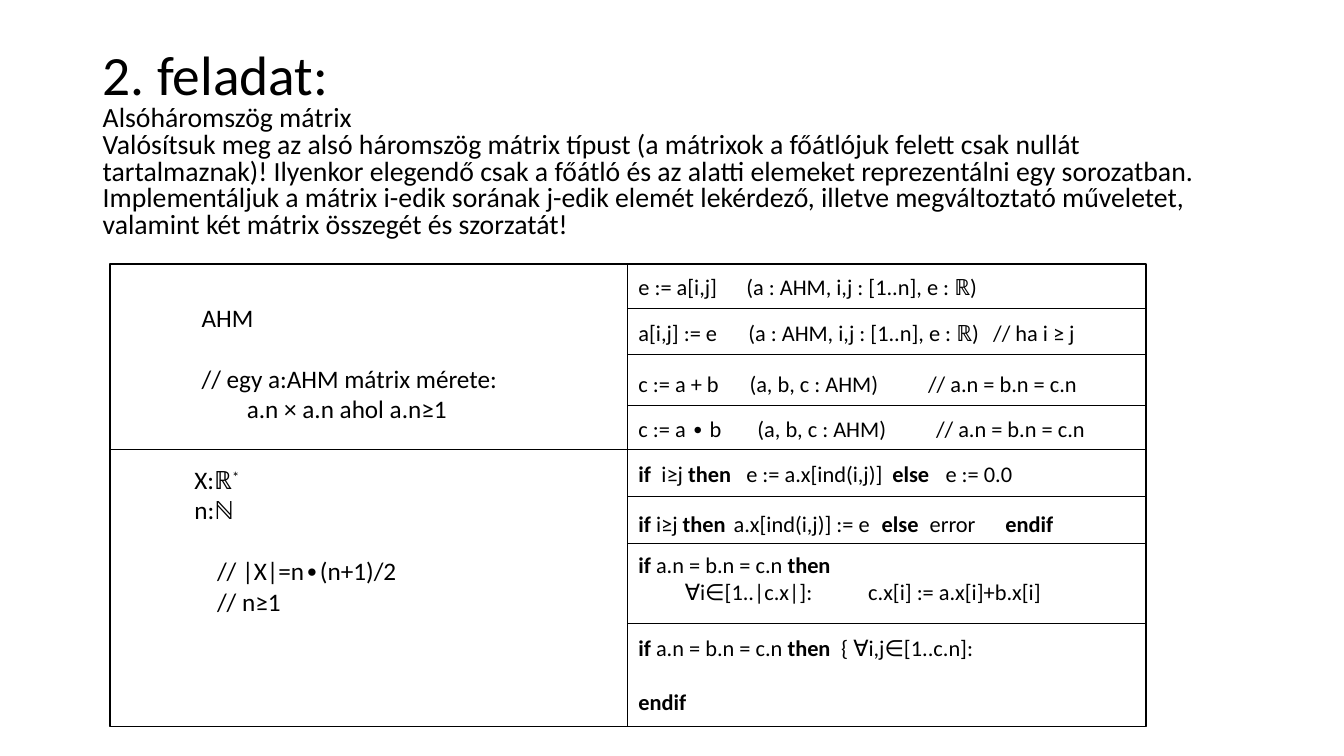
from dataclasses import dataclass

from pptx import Presentation
from pptx.dml.color import RGBColor
from pptx.enum.shapes import MSO_CONNECTOR, MSO_SHAPE
from pptx.enum.text import MSO_ANCHOR, MSO_AUTO_SIZE
from pptx.oxml.ns import qn
from pptx.util import Cm, Pt
from lxml.etree import SubElement


@dataclass(frozen=True)
class Theme:
    font: str = "Calibri"
    ink: RGBColor = RGBColor(0, 0, 0)
    paper: RGBColor = RGBColor(255, 255, 255)
    title: float = 39.6
    task: float = 19.8
    spec_text: float = 18
    code: float = 16
    frame: float = 1
    rule: float = 0.5


@dataclass
class Para:
    """One paragraph: runs are plain strings or (text, style) pairs; lengths in cm."""
    runs: list
    tabs: tuple = ()
    indent: float = 0
    gap: bool = False


def bold(text):
    return text, "bold"


class SlideBuilder:
    def __init__(self, slide, theme):
        self.s, self.theme = slide, theme

    def frame(self, x, y, w, h):
        sp = self.s.shapes.add_shape(MSO_SHAPE.RECTANGLE, Cm(x), Cm(y), Cm(w), Cm(h))
        sp.shadow.inherit = False
        sp.fill.solid()
        sp.fill.fore_color.rgb = self.theme.paper
        sp.line.color.rgb = self.theme.ink
        sp.line.width = Pt(self.theme.frame)

    def rule(self, x1, y1, x2, y2):
        ln = self.s.shapes.add_connector(
            MSO_CONNECTOR.STRAIGHT, Cm(x1), Cm(y1), Cm(x2), Cm(y2))
        ln.line.color.rgb = self.theme.ink
        ln.line.width = Pt(self.theme.rule)
        SubElement(ln._element.spPr, qn("a:effectLst"))

    def box(self, x, y, w, h):
        tf = self.s.shapes.add_textbox(Cm(x), Cm(y), Cm(w), Cm(h)).text_frame
        tf.word_wrap = True
        return tf

    def run(self, p, text, size, style=""):
        r = p.add_run()
        r.text = text
        r.font.name = self.theme.font
        r.font.size = Pt(size)
        r.font.color.rgb = self.theme.ink
        if style == "bold":
            r.font.bold = True
        elif style == "super":
            r.font._element.set("baseline", "30000")

    def text(self, x, y, w, h, paras, size):
        tf = self.box(x, y, w, h)
        tf.auto_size = MSO_AUTO_SIZE.SHAPE_TO_FIT_TEXT
        for i, para in enumerate(paras):
            p = tf.add_paragraph() if i else tf.paragraphs[0]
            if para.gap:
                p.space_before = Pt(size * 1.22)
            pPr = p._p.get_or_add_pPr()
            if para.indent:
                pPr.set("marL", str(Cm(para.indent)))
            if para.tabs:
                tab_list = SubElement(pPr, qn("a:tabLst"))
                for pos in para.tabs:
                    SubElement(tab_list, qn("a:tab"), pos=str(Cm(pos)), algn="l")
            for run in para.runs:
                text, style = (run, "") if isinstance(run, str) else run
                self.run(p, text, size, style)

    def title(self, x, y, w, h, heading, lines):
        tf = self.box(x, y, w, h)
        tf.vertical_anchor = MSO_ANCHOR.MIDDLE
        p = tf.paragraphs[0]
        p.line_spacing = 0.8
        self.run(p, heading, self.theme.title)
        for line in lines:
            p.add_line_break()
            self.run(p, line, self.theme.task)


LEFT, TOP, WIDTH, HEIGHT = 2.77, 6.65, 26.11, 11.66
RIGHT, BOTTOM = LEFT + WIDTH, TOP + HEIGHT
MIDDLE, SPLIT = 15.82, 11.33
ROW_RULES = [7.77, 8.94, 10.21, 12.5, 13.69, 15.7]

TASK = [
    "Alsóháromszög mátrix",
    "Valósítsuk meg az alsó háromszög mátrix típust (a mátrixok a főátlójuk felett "
    "csak nullát tartalmaznak)! Ilyenkor elegendő csak a főátló és az alatti elemeket "
    "reprezentálni egy sorozatban. Implementáljuk a mátrix i-edik sorának j-edik elemét "
    "lekérdező, illetve megváltoztató műveletet, valamint két mátrix összegét és szorzatát!",
]

TYPE_VALUES = [
    Para(["AHM"]),
    Para(["// egy a:AHM mátrix mérete:"], gap=True),
    Para(["a.n × a.n ahol a.n≥1"], indent=1.14),
]
REPRESENTATION = [
    Para(["X:ℝ", ("*", "super")]),
    Para(["n:ℕ"]),
    Para(["// |X|=n∙(n+1)/2"], indent=0.57, gap=True),
    Para(["// n≥1"], indent=0.57),
]

SAME_SIZE = [bold("if "), "a.n = b.n = c.n ", bold("then")]
# (top, height, paragraphs)
OPERATIONS = [
    (6.76, 0.94, [Para(["e := a[i,j]\t(a : AHM, i,j : [1..n], e : ℝ)"], (2.72,))]),
    (7.92, 0.94, [Para(["a[i,j] := e\t(a : AHM, i,j : [1..n], e : ℝ)\t// ha i ≥ j"],
                       (2.77, 8.94))]),
    (9.19, 0.94, [Para(["c := a + b\t(a, b, c : AHM)\t// a.n = b.n = c.n"], (2.8, 7.3))]),
    (10.34, 0.94, [Para(["c := a ∙ b\t(a, b, c : AHM)\t// a.n = b.n = c.n"], (3, 7.5))]),
    (11.48, 0.94, [Para([bold("if\t"), "i≥j ", bold("then"), "\te := a.x[ind(i,j)]\t",
                         bold("else"), "\te := 0.0"], (0.58, 2.72, 6.4, 7.74))]),
    (12.73, 0.94, [Para([bold("if "), "i≥j ", bold("then\t"), "a.x[ind(i,j)] := e\t",
                         bold("else\t"), "error\t", bold("endif")],
                        (2.4, 6.13, 7.34, 9.25))]),
    (13.77, 1.63, [Para(SAME_SIZE),
                   Para(["∀i∈[1..|c.x|]:", "\tc.x[i] := a.x[i]+b.x[i]"],
                        (4.62,), indent=1.17)]),
    (15.85, 2.31, [Para(SAME_SIZE + ["\t{ ∀i,j∈[1..c.n]:"], (5.11,)),
                   Para([bold("endif")], gap=True)]),
]


def main():
    prs = Presentation()
    prs.slide_width, prs.slide_height = Cm(33.87), Cm(19.05)
    theme = Theme()
    sb = SlideBuilder(prs.slides.add_slide(prs.slide_layouts[6]), theme)

    sb.frame(LEFT, TOP, WIDTH, HEIGHT)
    sb.rule(MIDDLE, TOP, MIDDLE, BOTTOM)
    sb.rule(LEFT, SPLIT, RIGHT, SPLIT)
    for y in ROW_RULES:
        sb.rule(MIDDLE, y, RIGHT, y)

    sb.text(4.83, 7.49, 8.94, 3.33, TYPE_VALUES, theme.spec_text)
    sb.text(4.65, 11.58, 7.06, 4.11, REPRESENTATION, theme.spec_text)
    for y, h, paras in OPERATIONS:
        sb.text(MIDDLE + 0.02, y, 13, h, paras, theme.code)
    sb.title(2.34, 0.91, 29.21, 5.56, "2. feladat: ", TASK)

    prs.save("out.pptx")


if __name__ == "__main__":
    main()
